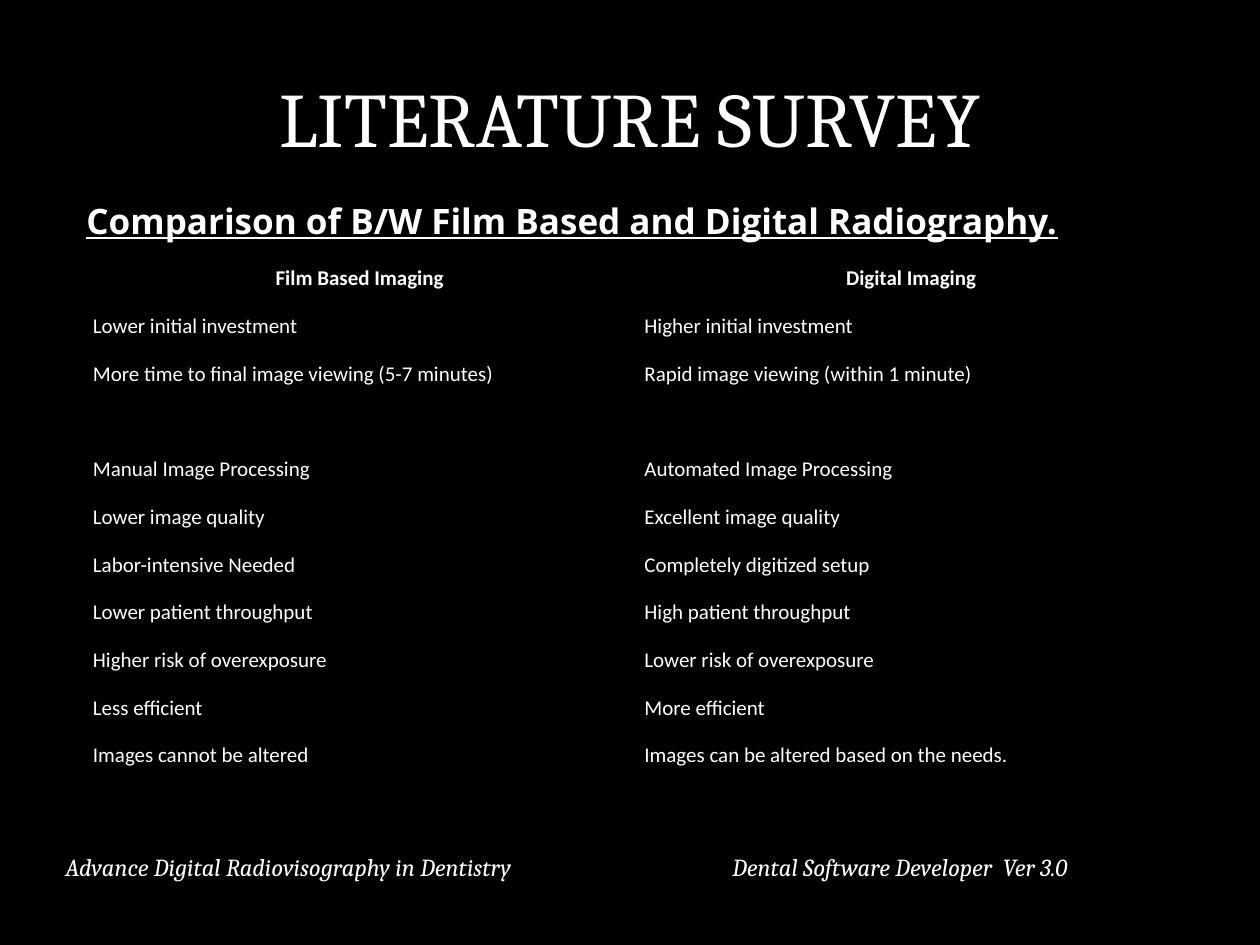
"""Build a slide comparing film based and digital radiography."""
from lxml import etree
from pptx import Presentation
from pptx.dml.color import RGBColor
from pptx.enum.text import MSO_ANCHOR, PP_ALIGN
from pptx.oxml import parse_xml
from pptx.oxml.ns import nsdecls, qn
from pptx.util import Emu, Pt

SCALE = 914400 / 126
LEFT, CENTER = PP_ALIGN.LEFT, PP_ALIGN.CENTER
MIDDLE = MSO_ANCHOR.MIDDLE
COLORS = {"back": "000000", "text": "FFFFFF", "edge": "000000"}
EDGES = ("lnL", "lnR", "lnT", "lnB")
ROWS = [
    ("Film Based Imaging", "Digital Imaging"),
    ("Lower initial investment", "Higher initial investment"),
    ("More time to final image viewing (5-7 minutes)", "Rapid image viewing (within 1 minute)"),
    ("Manual Image Processing", "Automated Image Processing"),
    ("Lower image quality", "Excellent image quality"),
    ("Labor-intensive Needed", "Completely digitized setup"),
    ("Lower patient throughput", "High patient throughput"),
    ("Higher risk of overexposure", "Lower risk of overexposure"),
    ("Less efficient", "More efficient"),
    ("Images cannot be altered", "Images can be altered based on the needs."),
]
TALL = 2


def px(n):
    return Emu(round(n * SCALE))


def color(name):
    return RGBColor.from_string(COLORS[name])


def style(para, face, size, align=LEFT, bold=False, italic=False, under=False):
    para.alignment = align
    for run in para.runs:
        font = run.font
        font.name, font.size = face, Pt(size)
        font.bold, font.italic, font.underline = bold, italic, under
        font.color.rgb = color("text")


def add_text(slide, box, text, face, size, **looks):
    frame = slide.shapes.add_textbox(*map(px, box)).text_frame
    frame.word_wrap = True
    frame.vertical_anchor = MIDDLE
    frame.text = text
    para = frame.paragraphs[0]
    style(para, face, size, **looks)
    return para


def add_tab(para, pos):
    props = para._p.get_or_add_pPr()
    tabs = etree.SubElement(props, qn("a:tabLst"))
    etree.SubElement(tabs, qn("a:tab"), pos=str(px(pos)), algn="l")


def add_edges(cell):
    props = cell._tc.get_or_add_tcPr()
    for i, edge in enumerate(EDGES):
        props.insert(i, parse_xml(
            f'<a:{edge} {nsdecls("a")} w="{Pt(1)}"><a:solidFill>'
            f'<a:srgbClr val="{COLORS["edge"]}"/></a:solidFill></a:{edge}>'))


def fill_cell(cell, text, head):
    cell.margin_left = cell.margin_right = px(9)
    cell.margin_top = cell.margin_bottom = 0
    cell.text = text
    para = cell.text_frame.paragraphs[0]
    para.line_spacing = 1.15
    style(para, "Calibri", 12, align=CENTER if head else LEFT, bold=head)
    cell.fill.background()
    add_edges(cell)


def add_grid(slide, box, rows):
    table = slide.shapes.add_table(len(rows), len(rows[0]), *map(px, box)).table
    table.horz_banding = table.first_row = False
    unit = px(box[3]) // (len(rows) + 1)
    for r, row in enumerate(rows):
        table.rows[r].height = Emu(unit * (2 if r == TALL else 1))
        for c, text in enumerate(row):
            fill_cell(table.cell(r, c), text, r == 0)


def main():
    deck = Presentation()
    deck.slide_width, deck.slide_height = px(1260), px(945)
    slide = deck.slides.add_slide(deck.slide_layouts[6])
    back = slide.background.fill
    back.solid()
    back.fore_color.rgb = color("back")
    foot = add_text(
        slide, (53, 819, 1134, 95),
        "Advance Digital Radiovisography in Dentistry\tDental Software Developer  Ver 3.0",
        "Cambria", 14, italic=True)
    add_tab(foot, 667)
    add_grid(slide, (84, 262, 1103, 525), ROWS)
    add_text(slide, (74, 168, 1134, 105),
             "Comparison of B/W Film Based and Digital Radiography.",
             "Open Sans", 20, bold=True, under=True)
    add_text(slide, (63, 38, 1134, 158), "LITERATURE SURVEY", "Cambria", 44, align=CENTER)
    deck.save("out.pptx")


if __name__ == "__main__":
    main()
